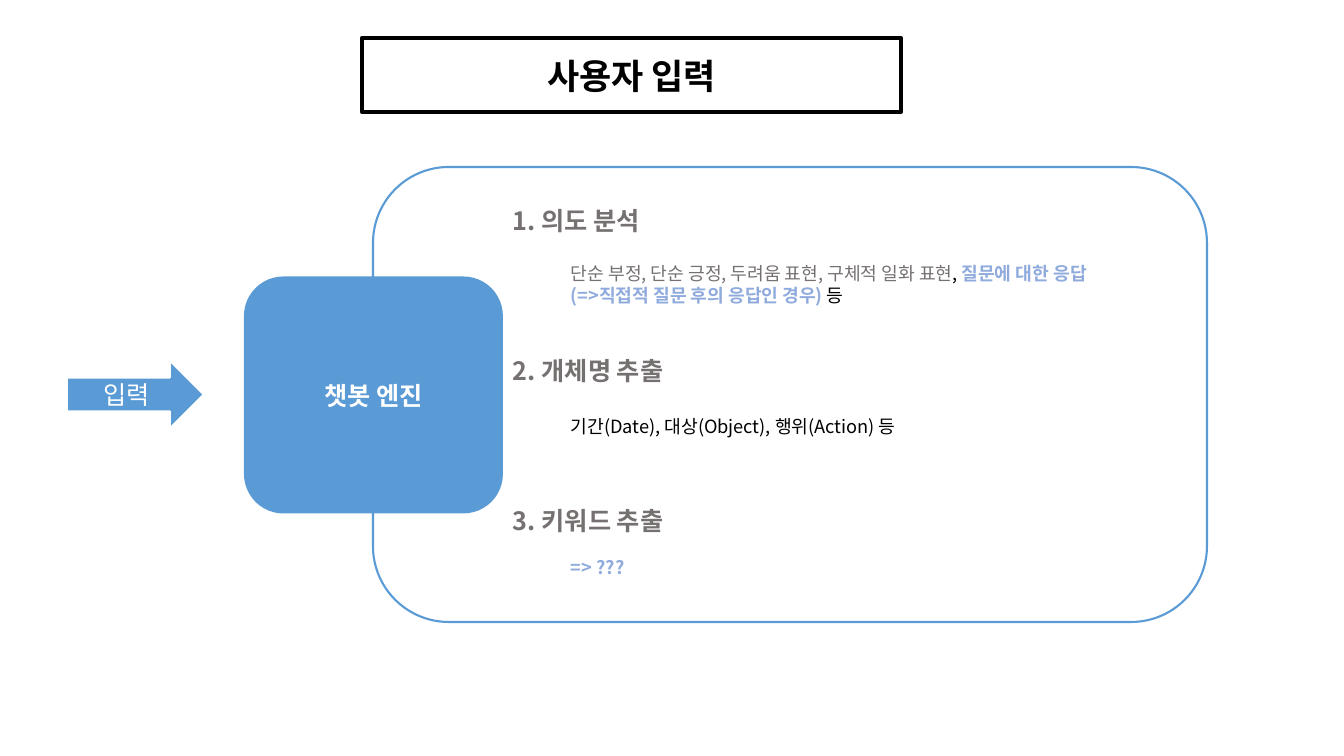
from dataclasses import dataclass

from lxml.etree import SubElement as Sub
from pptx import Presentation
from pptx.dml.color import RGBColor as Rgb
from pptx.enum.shapes import MSO_SHAPE as Kind
from pptx.enum.text import MSO_ANCHOR as Anchor, MSO_AUTO_SIZE as Fit, PP_ALIGN as Align
from pptx.oxml.ns import qn
from pptx.util import Pt


@dataclass(frozen=True)
class Theme:
    """Colours, type sizes and font of the slide."""
    font: str = "Noto Sans CJK KR"
    black: str = "000000"
    white: str = "FFFFFF"
    blue: str = "5B9BD5"
    pale: str = "8FAADC"
    gray: str = "767171"
    title: int = 25
    head: int = 18
    body: int = 13


LOOK = Theme()
STEPS = [
    ("1. 의도 분석", 57, 54, [
        ("단순 부정, 단순 긍정, 두려움 표현, 구체적 일화 표현", LOOK.gray, False),
        (", ", LOOK.black, False),
        ("질문에 대한 응답(=>직접적 질문 후의 응답인 경우)", LOOK.pale, True),
        (" 등", LOOK.black, False)]),
    ("2. 개체명 추출", 60, 32, [
        ("기간(Date), 대상(Object), 행위(Action) 등", LOOK.black, False)]),
    ("3. 키워드 추출", 51, 32, [("=> ???", LOOK.pale, True)]),
]


def px(num):
    """Turn pixels into EMU."""
    return round(num * 914400 / 100.8)


def place(box):
    """Turn a pixel box into EMU lengths."""
    return [px(num) for num in box]


def style(font, color, bold):
    """Set the colour and weight of a font."""
    font.color.rgb = Rgb.from_string(color)
    font.bold = bold


def write(frame, runs, size, align=Align.LEFT):
    """Fill a text frame with one paragraph of (text, colour, bold) runs."""
    frame.word_wrap = True
    para = frame.paragraphs[0]
    para.alignment = align
    para.font.name, para.font.size = LOOK.font, Pt(size)
    for text, color, bold in runs:
        run = para.add_run()
        run.text = text
        if len(runs) > 1:
            style(run.font, color, bold)
    if len(runs) == 1:
        style(para.font, *runs[0][1:])


def edge(shape, color, width):
    """Outline a shape."""
    shape.line.color.rgb = Rgb.from_string(color)
    shape.line.width = Pt(width)


def block(slide, kind, box, fill=None):
    """Add a flat shape without an outline."""
    shape = slide.shapes.add_shape(kind, *place(box))
    shape.shadow.inherit = False
    shape.line.fill.background()
    if fill:
        shape.fill.solid()
        shape.fill.fore_color.rgb = Rgb.from_string(fill)
    else:
        shape.fill.background()
    return shape


def label(shape, text, size, color, bold):
    """Centre one line of text in a shape."""
    shape.text_frame.vertical_anchor = Anchor.MIDDLE
    write(shape.text_frame, [(text, color, bold)], size, Align.CENTER)


def note(slide, box, runs, size):
    """Add a wrapped text box."""
    frame = slide.shapes.add_textbox(*place(box)).text_frame
    write(frame, runs, size)
    frame.auto_size = Fit.SHAPE_TO_FIT_TEXT


def head(slide, box):
    """Set the title in a rounded outline."""
    title = slide.shapes.title
    title.left, title.top, title.width, title.height = place(box)
    geom = Sub(title.element.spPr, qn("a:prstGeom"), prst="roundRect")
    Sub(geom, qn("a:avLst"))
    edge(title, LOOK.black, 3)
    title.text_frame.auto_size = Fit.NONE
    label(title, "사용자 입력", LOOK.title, LOOK.black, True)


def flow(slide, box):
    """Draw the input arrow, the engine and the frame of its steps."""
    x, y, w, h = box
    mid = y + h / 2
    panel = block(slide, Kind.ROUNDED_RECTANGLE, box)
    edge(panel, LOOK.blue, 1.5)
    core = block(slide, Kind.ROUNDED_RECTANGLE, (x - 129, mid - 118, 259, 237), LOOK.blue)
    label(core, "챗봇 엔진", LOOK.head, LOOK.white, True)
    arrow = block(slide, Kind.RIGHT_ARROW, (x - 306, mid - 34, 137, 68), LOOK.blue)
    edge(arrow, LOOK.white, 1.5)
    label(arrow, "입력", LOOK.head, LOOK.white, False)


def steps(slide, box):
    """List the steps at equal gaps, each with its detail below."""
    x, y, w, h = box
    for row, (name, drop, tall, runs) in enumerate(STEPS):
        top = y + row * h / len(STEPS)
        note(slide, (x, top, 192, 40), [(name, LOOK.gray, True)], LOOK.head)
        note(slide, (x + 58, top + drop, w - 58, tall), runs, LOOK.body)


def main():
    """Build and save the slide."""
    deck = Presentation()
    deck.slide_width, deck.slide_height = px(1344), px(756)
    slide = deck.slides.add_slide(deck.slide_layouts[5])
    head(slide, (362, 38, 539, 74))
    flow(slide, (373, 167, 834, 455))
    steps(slide, (503, 200, 597, 450))
    for latin in slide.element.iter(qn("a:latin")):
        east = latin.makeelement(qn("a:ea"), typeface=LOOK.font)
        latin.addnext(east)
    deck.save("out.pptx")


if __name__ == "__main__":
    main()
